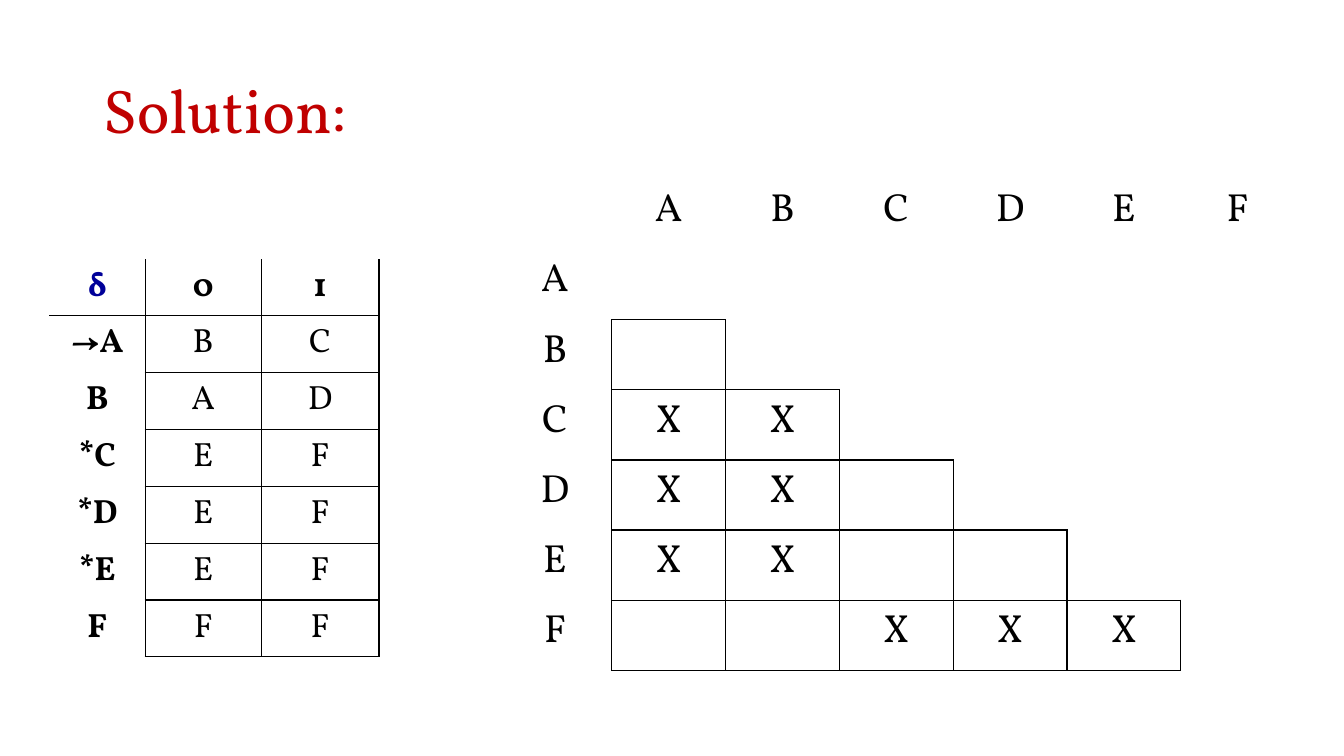
from lxml.etree import SubElement
from pptx import Presentation
from pptx.dml.color import RGBColor
from pptx.enum.text import MSO_ANCHOR, PP_ALIGN
from pptx.oxml.ns import qn
from pptx.util import Inches, Pt

TITLE = "Solution:"
MOVES = [
    ["δ", "0", "1"],
    ["→A", "B", "C"],
    ["B", "A", "D"],
    ["*C", "E", "F"],
    ["*D", "E", "F"],
    ["*E", "E", "F"],
    ["F", "F", "F"],
]
STATES = "ABCDEF"
MARKED = ["AC", "BC", "AD", "BD", "AE", "BE", "CF", "DF", "EF"]
PAIRS = [["", *STATES]] + [
    [row] + ["X" if col + row in MARKED else "" for col in STATES]
    for row in STATES
]
COLORS = {"title": "C00000", "delta": "000099", "ink": "000000"}
FONT = "Vollkorn"


def style(para, size, color, bold=False):
    for run in para.runs:
        run.font.name = FONT
        run.font.size = Pt(size)
        run.font.bold = bold
        run.font.color.rgb = RGBColor.from_string(COLORS[color])


def border(cell, sides):
    """Rule the named sides (L, R, T, B) and clear the others."""
    props = cell._tc.get_or_add_tcPr()
    for spot, side in enumerate("LRTB"):
        line = SubElement(props, qn("a:ln" + side), w=str(Pt(1)))
        if side in sides:
            fill = SubElement(line, qn("a:solidFill"))
            SubElement(fill, qn("a:srgbClr"), val=COLORS["ink"])
        else:
            SubElement(line, qn("a:noFill"))
        props.insert(spot, line)


def move_sides(row, col):
    sides = "LR" if col else "R"
    if row == 0 or col:
        sides += "B"
    if row == 1 or (row and col):
        sides += "T"
    return sides


def pair_sides(row, col):
    """Box every cell below the diagonal, matching edges in its neighbours."""
    if 0 < col < row:
        return "LRTB"
    if col == 0:
        return "R" if row > 1 else ""
    if row == col:
        return ("L" if row > 1 else "") + ("B" if row < len(STATES) else "")
    return ""


def add_grid(slide, data, box, widths, size, anchor, rule):
    frame = slide.shapes.add_table(len(data), len(data[0]), *map(Inches, box))
    table = frame.table
    table.first_row = table.horz_banding = False
    for col, width in enumerate(widths):
        table.columns[col].width = Inches(width)
    for r, row in enumerate(data):
        for c, text in enumerate(row):
            cell = table.cell(r, c)
            cell.fill.background()
            cell.vertical_anchor = anchor
            border(cell, rule(r, c))
            para = cell.text_frame.paragraphs[0]
            para.text = text
            para.alignment = PP_ALIGN.CENTER
            bold = data is MOVES and (r == 0 or c == 0)
            style(para, size, "delta" if text == "δ" else "ink", bold)


def main():
    deck = Presentation()
    deck.slide_width, deck.slide_height = Inches(13.33), Inches(7.5)
    slide = deck.slides.add_slide(deck.slide_layouts[5])

    title = slide.shapes.title
    title.left, title.top = Inches(0.92), Inches(0.4)
    title.width, title.height = Inches(11.5), Inches(1.45)
    title.text_frame.text = TITLE
    title.text_frame.vertical_anchor = MSO_ANCHOR.MIDDLE
    para = title.text_frame.paragraphs[0]
    para.alignment = PP_ALIGN.LEFT
    para.line_spacing = 0.9
    style(para, 44, "title")

    add_grid(slide, PAIRS, (4.94, 1.78, 7.9, 4.87), [7.9 / 7] * 7,
             28, MSO_ANCHOR.TOP, pair_sides)
    add_grid(slide, MOVES, (0.49, 2.57, 3.27, 3.93), [0.95, 1.15, 1.17],
             24, MSO_ANCHOR.MIDDLE, move_sides)
    deck.save("out.pptx")


if __name__ == "__main__":
    main()
